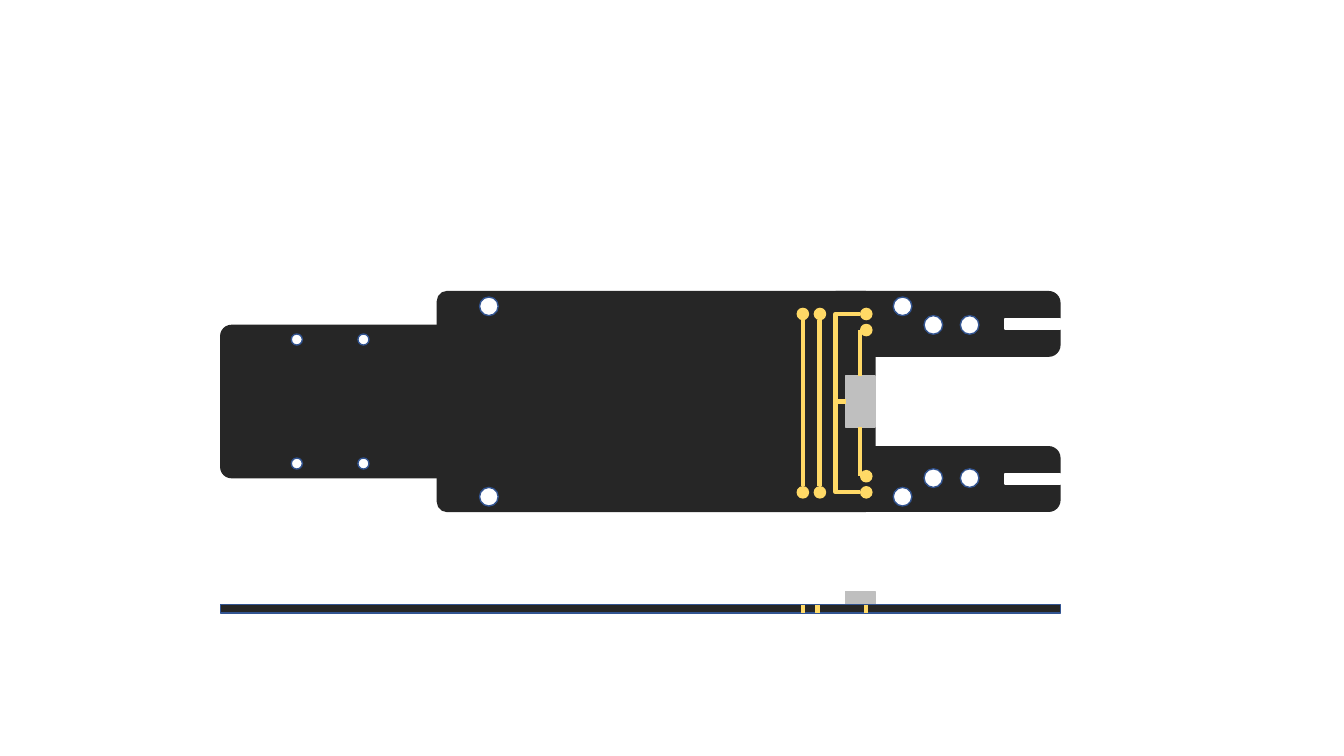
from lxml import etree
from pptx import Presentation
from pptx.dml.color import RGBColor
from pptx.enum.shapes import MSO_CONNECTOR, MSO_SHAPE
from pptx.oxml.ns import qn
from pptx.util import Pt

RECTANGLE = MSO_SHAPE.RECTANGLE
ROUNDED = MSO_SHAPE.ROUNDED_RECTANGLE
OVAL = MSO_SHAPE.OVAL
STRAIGHT = MSO_CONNECTOR.STRAIGHT
ELBOW = MSO_CONNECTOR.ELBOW

COLORS = {"board": "262626", "hole": "FFFFFF", "rim": "325491",
          "copper": "FFD966", "sensor": "BFBFBF"}

BOARD_AXIS = 286.8
CIRCUIT_AXIS = 288
SIDES = (-1, 1)

PRONG = {"left": 589.3, "width": 167.8, "height": 46.1, "offset": 55.4, "corner": 0.173}
HANDLE = {"left": 157.7, "width": 210.2, "height": 108.7, "corner": 0.07}
BODY = {"left": 312.5, "width": 312.5, "height": 157, "corner": 0.043}
SLOT = {"left": 717.8, "width": 39.6, "height": 7.2, "offset": 55.4}
SENSOR = {"left": 604.1, "width": 20.9, "height": 36.7}
BOARD_EDGE = {"left": 157.7, "top": 432, "width": 599.8, "height": 5.8}
SENSOR_HEIGHT = 9.4

HOLES = [(349.2, 68, 13.3), (644.7, 68, 13.3), (666.7, 54.7, 13.3),
         (692.6, 54.7, 13.3), (212, 44.3, 7.9), (259.6, 44.3, 7.9)]
PAD_SIZE = 8
PADS = [(573.5, 63.7), (585.7, 63.7), (618.8, 63.7), (618.8, 52.2)]
LONG_TRACES = [(573.8, 3), (585.5, 3.25)]
LONG_TRACE_REACH = 59.4
SENSOR_TRACE_X = 614.3
ELBOW_BEND = -0.714
EDGE_TRACES = [573.8, 583.9, 618.5]

presentation = Presentation()
presentation.slide_width, presentation.slide_height = Pt(960), Pt(540)
slide = presentation.slides.add_slide(presentation.slide_layouts[6])


def add_part(kind, left, top, width, height, fill, line=None, corner=None):
    shape = slide.shapes.add_shape(kind, Pt(left), Pt(top), Pt(width), Pt(height))
    shape.shadow.inherit = False
    shape.fill.solid()
    shape.fill.fore_color.rgb = RGBColor.from_string(COLORS[fill])
    shape.line.color.rgb = RGBColor.from_string(COLORS[line or fill])
    shape.line.width = Pt(1)
    if corner is not None:
        shape.adjustments[0] = corner


def add_centered(part, fill, kind=RECTANGLE, shift=0):
    top = BOARD_AXIS + shift - part["height"] / 2
    add_part(kind, part["left"], top, part["width"], part["height"], fill,
             corner=part.get("corner"))


def add_disc(x, y, size, fill, line):
    add_part(OVAL, x - size / 2, y - size / 2, size, size, fill, line)


def add_trace(start, end, width=3, kind=STRAIGHT, bend=None):
    connector = slide.shapes.add_connector(kind, *map(Pt, start + end))
    connector.line.color.rgb = RGBColor.from_string(COLORS["copper"])
    connector.line.width = Pt(width)
    properties = connector._element.spPr
    etree.SubElement(properties, qn("a:effectLst"))
    if bend is not None:
        geometry = properties.find(qn("a:prstGeom"))
        guides = geometry.find(qn("a:avLst"))
        if guides is None:
            guides = etree.SubElement(geometry, qn("a:avLst"))
        etree.SubElement(guides, qn("a:gd"), name="adj1", fmla=f"val {round(bend * 100000)}")


for side in SIDES:
    add_centered(PRONG, "board", ROUNDED, side * PRONG["offset"])
add_centered(HANDLE, "board", ROUNDED)
add_centered(BODY, "board", ROUNDED)
add_centered(SENSOR, "sensor")

for side in SIDES:
    for x, offset, size in HOLES:
        add_disc(x, BOARD_AXIS + side * offset, size, "hole", "rim")
    for x, offset in PADS:
        add_disc(x, CIRCUIT_AXIS + side * offset, PAD_SIZE, "copper", "copper")
    add_centered(SLOT, "hole", shift=side * SLOT["offset"])

for x, width in LONG_TRACES:
    add_trace((x, CIRCUIT_AXIS - LONG_TRACE_REACH), (x, CIRCUIT_AXIS + LONG_TRACE_REACH), width)

outer_pad, inner_pad = PADS[2][1], PADS[3][1]
for side in SIDES:
    add_trace((SENSOR_TRACE_X, BOARD_AXIS + side * SENSOR["height"] / 2),
              (SENSOR_TRACE_X, CIRCUIT_AXIS + side * inner_pad))
    add_trace((SENSOR["left"], BOARD_AXIS),
              (SENSOR_TRACE_X, CIRCUIT_AXIS + side * outer_pad), kind=ELBOW, bend=ELBOW_BEND)

edge_top = BOARD_EDGE["top"]
add_part(RECTANGLE, SENSOR["left"], edge_top - SENSOR_HEIGHT, SENSOR["width"],
         SENSOR_HEIGHT, "sensor")
add_part(RECTANGLE, *BOARD_EDGE.values(), "board", "rim")
for x in EDGE_TRACES:
    add_trace((x, edge_top), (x, edge_top + BOARD_EDGE["height"]))

presentation.save("out.pptx")
